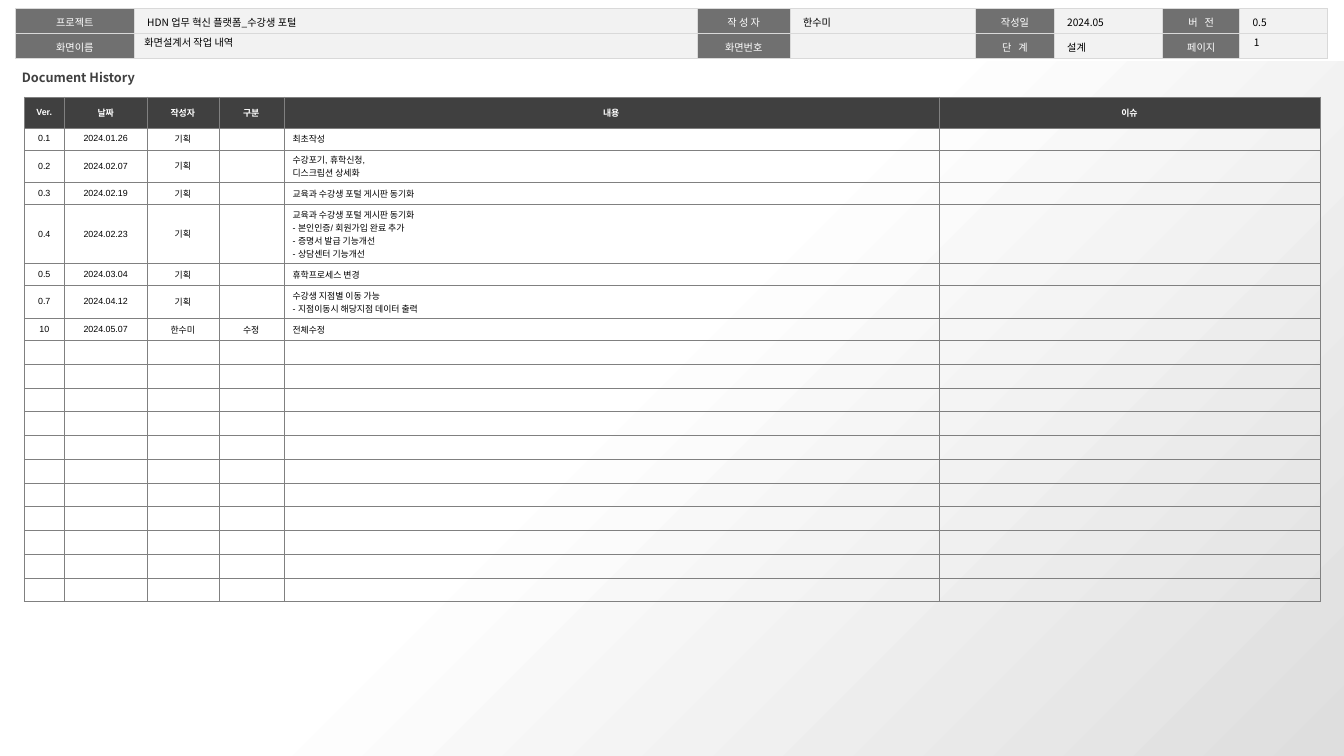
from lxml.etree import SubElement
from pptx import Presentation
from pptx.dml.color import RGBColor
from pptx.enum.shapes import MSO_SHAPE
from pptx.enum.text import MSO_ANCHOR, MSO_AUTO_SIZE, PP_ALIGN
from pptx.oxml.ns import qn
from pptx.util import Cm, Pt

WHITE = RGBColor(0xFF, 0xFF, 0xFF)
BLACK = RGBColor(0x00, 0x00, 0x00)
DARK = RGBColor(0x40, 0x40, 0x40)
LABEL_GRAY = RGBColor(0x70, 0x70, 0x70)
VALUE_GRAY = RGBColor(0xF2, 0xF2, 0xF2)
LIGHT_LINE = RGBColor(0xD9, 0xD9, 0xD9)
GRID_LINE = RGBColor(0x80, 0x80, 0x80)
GRADIENT_END = RGBColor(0xDE, 0xDE, 0xDE)

KOREAN_FONT = "Noto Sans CJK KR"
TABLE_FONT = "Arial"

SLIDE_WIDTH, SLIDE_HEIGHT = 37.34, 21.01

INFO_WIDTHS = [3.3, 15.65, 2.57, 5.16, 2.18, 3.02, 2.13, 2.44]
INFO_ROWS = [
    ["프로젝트", "HDN 업무 혁신 플랫폼_수강생 포털", "작 성 자", "한수미",
     "작성일", "2024.05", "버 전", "0.5"],
    ["화면이름", "", "화면번호", "", "단 계", "설계", "페이지", ""],
]
WIDE_LABELS = ("버 전", "단 계")

HISTORY_WIDTHS = [1.12, 2.29, 2, 1.8, 18.2, 10.6]
HISTORY_HEADER = ["Ver.", "날짜", "작성자", "구분", "내용", "이슈"]
HISTORY_ROWS = [
    ["0.1", "2024.01.26", "기획", "", "최초작성", ""],
    ["0.2", "2024.02.07", "기획", "", "수강포기, 휴학신청,\n디스크립션 상세화", ""],
    ["0.3", "2024.02.19", "기획", "", "교육과 수강생 포털 게시판 동기화", ""],
    ["0.4", "2024.02.23", "기획", "",
     "교육과 수강생 포털 게시판 동기화\n- 본인인증/ 회원가입 완료 추가\n"
     "- 증명서 발급 기능개선\n- 상담센터 기능개선", ""],
    ["0.5", "2024.03.04", "기획", "", "휴학프로세스 변경", ""],
    ["0.7", "2024.04.12", "기획", "",
     "수강생 지점별 이동 가능\n- 지점이동시 해당지점 데이터 출력", ""],
    ["10", "2024.05.07", "한수미", "수정", "전체수정", ""],
]
EMPTY_ROWS = 11
CONTENT_COLUMN = 4


class SlideBuilder:
    """Holds the slide and the shared text style."""

    def __init__(self, slide):
        self.slide = slide

    def format_text(self, frame, size, color, font=KOREAN_FONT, bold=False,
                    align=PP_ALIGN.LEFT, line_spacing=None, tracking=None):
        for paragraph in frame.paragraphs:
            paragraph.alignment = align
            if line_spacing:
                paragraph.line_spacing = line_spacing
            for run in paragraph.runs:
                run.font.size = Pt(size)
                run.font.name = font
                run.font.bold = bold
                run.font.color.rgb = color
                properties = run.font._element
                SubElement(properties, qn("a:ea"), typeface=KOREAN_FONT)
                if tracking:
                    properties.set("spc", str(tracking))
            if not paragraph.runs:
                # Keeps empty cells from growing to the default text size
                SubElement(paragraph._p, qn("a:endParaRPr"), sz=str(size * 100))

    def background(self, top):
        panel = self.slide.shapes.add_shape(
            MSO_SHAPE.RECTANGLE, 0, Cm(top), Cm(SLIDE_WIDTH), Cm(SLIDE_HEIGHT - top))
        panel.shadow.inherit = False
        panel.line.fill.background()
        panel.fill.gradient()
        panel.fill.gradient_angle = 315
        stops = zip(panel.fill.gradient_stops, (0.45, 1), (WHITE, GRADIENT_END))
        for stop, position, color in stops:
            stop.position = position
            stop.color.rgb = color

    def table(self, left, top, widths, heights):
        frame = self.slide.shapes.add_table(
            len(heights), len(widths), Cm(left), Cm(top),
            Cm(sum(widths)), Cm(sum(heights)))
        table = frame.table
        table.first_row = table.horz_banding = False
        for column, width in zip(table.columns, widths):
            column.width = Cm(width)
        for row, height in zip(table.rows, heights):
            row.height = Cm(height)
        return table

    def cell(self, cell, text, size, color, border, border_width, fill=None,
             margins=(0.25, 0.1), **style):
        cell.text_frame.text = text
        cell.vertical_anchor = MSO_ANCHOR.MIDDLE
        cell.margin_left = cell.margin_right = Cm(margins[0])
        cell.margin_top = cell.margin_bottom = Cm(margins[1])
        self.format_text(cell.text_frame, size, color, **style)
        properties = cell._tc.get_or_add_tcPr()
        for side in ("a:lnL", "a:lnR", "a:lnT", "a:lnB"):
            line = SubElement(properties, qn(side), w=str(Pt(border_width)))
            solid = SubElement(line, qn("a:solidFill"))
            SubElement(solid, qn("a:srgbClr"), val=str(border))
        if fill is None:
            cell.fill.background()
        else:
            cell.fill.solid()
            cell.fill.fore_color.rgb = fill

    def place_text(self, shape, text, left, top, width, height, inset,
                   size, color, wrap=True, **style):
        shape.left, shape.top = Cm(left), Cm(top)
        shape.width, shape.height = Cm(width), Cm(height)
        frame = shape.text_frame
        frame.text = text
        frame.word_wrap = wrap
        frame.auto_size = MSO_AUTO_SIZE.NONE
        frame.vertical_anchor = MSO_ANCHOR.MIDDLE
        frame.margin_left = frame.margin_right = Cm(inset)
        frame.margin_top = frame.margin_bottom = 0
        self.format_text(frame, size, color, **style)

    def title(self, text, *box, **style):
        shape = self.slide.shapes.title
        # Brings the title in front of the filled header cells
        self.slide.shapes._spTree.append(shape._element)
        self.place_text(shape, text, *box, **style)

    def text_box(self, text, *box, **style):
        shape = self.slide.shapes.add_textbox(0, 0, 0, 0)
        self.place_text(shape, text, *box, **style)


def add_info_table(builder):
    table = builder.table(0.43, 0.24, INFO_WIDTHS, [0.7, 0.7])
    for row, texts in enumerate(INFO_ROWS):
        for column, text in enumerate(texts):
            is_label = column % 2 == 0
            builder.cell(
                table.cell(row, column), text, 8, WHITE if is_label else BLACK,
                LIGHT_LINE, 1, fill=LABEL_GRAY if is_label else VALUE_GRAY,
                margins=(0.36, 0.12), line_spacing=1.05,
                align=PP_ALIGN.CENTER if is_label else PP_ALIGN.LEFT,
                tracking=180 if text in WIDE_LABELS else None)


def add_history_table(builder):
    rows = [HISTORY_HEADER] + HISTORY_ROWS + [[""] * len(HISTORY_WIDTHS)] * EMPTY_ROWS
    heights = [0.86, 0.61, 0.9, 0.61, 1.64, 0.61, 0.91, 0.61] + [0.66] * EMPTY_ROWS
    table = builder.table(0.67, 2.69, HISTORY_WIDTHS, heights)
    for row, texts in enumerate(rows):
        is_header = row == 0
        for column, text in enumerate(texts):
            is_left = column == CONTENT_COLUMN and not is_header
            builder.cell(
                table.cell(row, column), text, 7, WHITE if is_header else BLACK,
                GRID_LINE, 0.25, fill=DARK if is_header else None,
                font=TABLE_FONT, bold=is_header,
                align=PP_ALIGN.LEFT if is_left else PP_ALIGN.CENTER)


def main():
    presentation = Presentation()
    presentation.slide_width = Cm(SLIDE_WIDTH)
    presentation.slide_height = Cm(SLIDE_HEIGHT)
    builder = SlideBuilder(presentation.slides.add_slide(presentation.slide_layouts[5]))

    # Header strip and background
    add_info_table(builder)
    builder.background(1.7)

    # Page number and screen name inside the header strip
    builder.text_box("1", 34.59, 0.97, 1.83, 0.4, 0.25, size=8, color=BLACK)
    builder.title("화면설계서 작업 내역", 3.73, 0.97, 13.77, 0.4, 0.28,
                  size=8, color=BLACK)

    # Version history
    add_history_table(builder)
    builder.text_box("Document History", 0.36, 1.8, 3.8, 0.69, 0.25,
                     size=10, color=DARK, bold=True, wrap=False)

    presentation.save("out.pptx")


if __name__ == "__main__":
    main()
